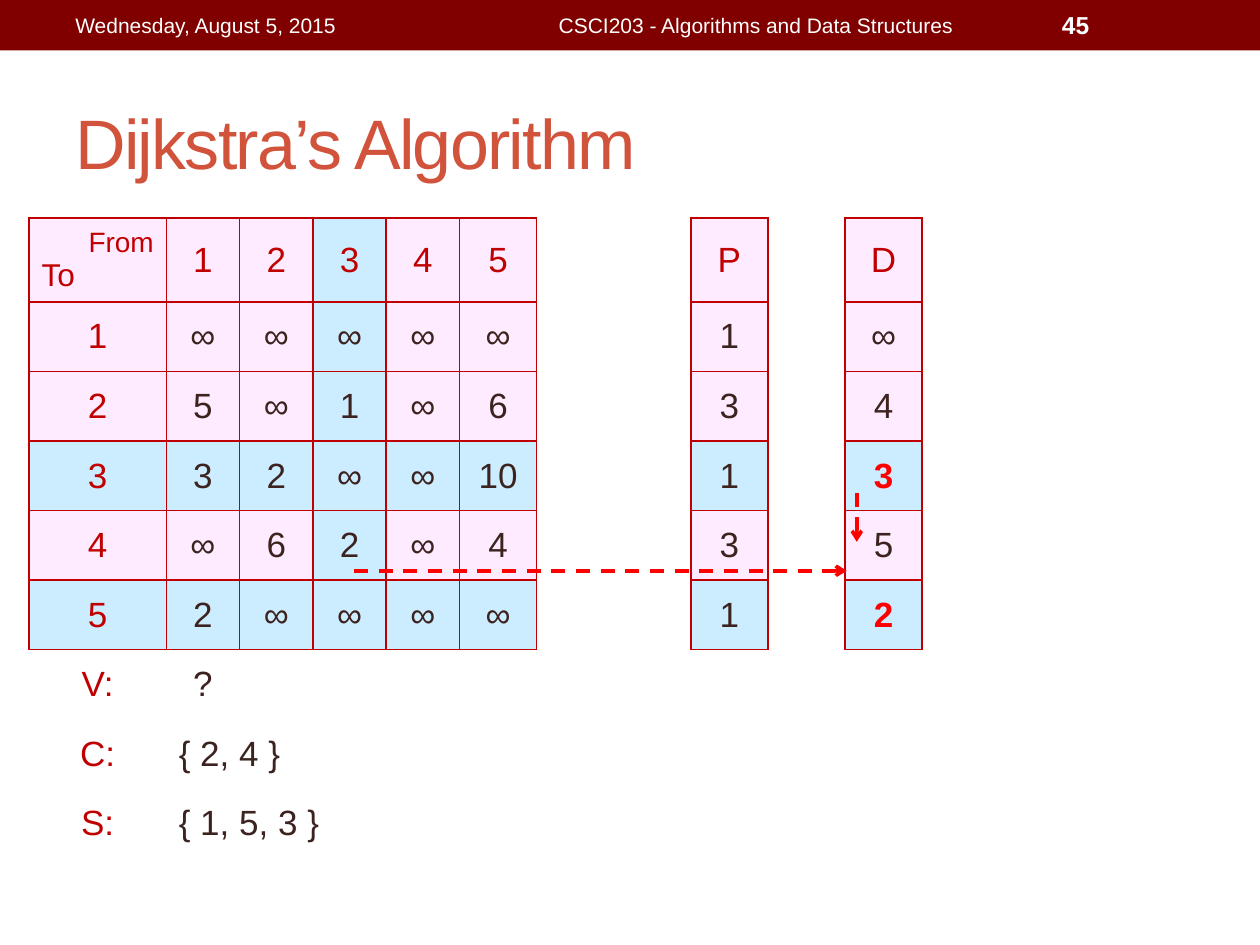
from dataclasses import dataclass, field

from lxml import etree
from pptx import Presentation
from pptx.dml.color import RGBColor
from pptx.enum.dml import MSO_LINE
from pptx.enum.shapes import MSO_CONNECTOR, MSO_SHAPE
from pptx.enum.text import MSO_ANCHOR, PP_ALIGN
from pptx.oxml.ns import qn
from pptx.util import Inches, Pt

LEFT, CENTER, RIGHT = PP_ALIGN.LEFT, PP_ALIGN.CENTER, PP_ALIGN.RIGHT
MIDDLE = MSO_ANCHOR.MIDDLE
RECT, STRAIGHT, DASH = MSO_SHAPE.RECTANGLE, MSO_CONNECTOR.STRAIGHT, MSO_LINE.DASH

WHITE = RGBColor(0xFF, 0xFF, 0xFF)
MAROON = RGBColor(0x80, 0x00, 0x00)
TITLE = RGBColor(0xD2, 0x53, 0x3C)
CRIMSON = RGBColor(0xC0, 0x00, 0x00)
RED = RGBColor(0xFF, 0x00, 0x00)
BROWN = RGBColor(0x3C, 0x23, 0x1F)
PINK = RGBColor(0xFF, 0xEB, 0xFF)
BLUE = RGBColor(0xCC, 0xEC, 0xFF)

FONT = "Arial"
NO_STYLE = "{2D5ABB26-0587-4C30-8999-92F81FD0307C}"
COLS, ROWS = 100, 75  # slide grid of square units
UNIT = Inches(10) // COLS

# Table geometry in grid units
COL_WIDTHS = [10.9] + [5.82] * 4 + [6.12] * 6
ROW_HEIGHTS = [6.6] + [5.52] * 8
P_COL, D_COL, CURRENT_COL = 8, 10, 3
CHOSEN_ROWS = (3, 5)

# Cost to reach each vertex from each other one, then P and D
MATRIX = ["∞∞∞∞∞", "5∞1∞6", ("3", "2", "∞", "∞", "10"), "∞62∞4", "2∞∞∞∞"]
P_VALUES = "13131"
D_VALUES = "∞4352"
SETS = [("V:", "?", CENTER), ("C:", "{ 2, 4 }", LEFT), ("S:", "{ 1, 5, 3 }", LEFT)]


@dataclass
class Label:
    text: str
    box: tuple[float, float, float, float]
    format: dict
    align: PP_ALIGN = LEFT
    spacing: int = 0


@dataclass
class Entry:
    text: str
    color: RGBColor = BROWN
    align: PP_ALIGN = CENTER
    format: dict = field(default_factory=dict)


@dataclass
class Arrow:
    start: tuple[float, float]
    end: tuple[float, float]


LABELS = [
    Label("Dijkstra’s Algorithm", (5, 5.8, 90, 10.8),
          {"size": Pt(40)}, spacing=-100),
    Label("CSCI203 - Algorithms and Data Structures", (37.5, 0.2, 45, 3.6),
          {"size": Pt(12)}, CENTER),
    Label("45", (83.3, 0.2, 11.7, 3.6), {"size": Pt(14), "bold": True}),
    Label("Wednesday, August 5, 2015", (5, 0.2, 31.7, 3.6), {"size": Pt(12)}),
]
ARROWS = [Arrow((68, 39.1), (68, 43)), Arrow((28.1, 45.3), (67.2, 45.3))]


def units(*values: float) -> list[int]:
    return [round(v * UNIT) for v in values]


def write(p, text: str, color: RGBColor, align: PP_ALIGN, style: dict):
    p.alignment = align
    r = p.add_run()
    r.text = text
    r.font.color.rgb = color
    for name, value in {"name": FONT, **style}.items():
        setattr(r.font, name, value)
    return r


def add_label(slide, label: Label, color: RGBColor) -> None:
    tf = slide.shapes.add_textbox(*units(*label.box)).text_frame
    tf.word_wrap = True
    tf.vertical_anchor = MIDDLE
    r = write(tf.paragraphs[0], label.text, color, label.align, label.format)
    if label.spacing:
        r.font._element.set("spc", str(label.spacing))


def outline_cell(cell) -> None:
    tc_pr = cell._tc.get_or_add_tcPr()
    for i, side in enumerate(("lnL", "lnR", "lnT", "lnB")):
        ln = etree.Element(qn(f"a:{side}"), w=str(Pt(1)))
        fill = etree.SubElement(ln, qn("a:solidFill"))
        etree.SubElement(fill, qn("a:srgbClr"), val=str(CRIMSON))
        tc_pr.insert(i, ln)


def fill_cell(cell, *entries: Entry, fill: RGBColor | None = None) -> None:
    cell.vertical_anchor = MIDDLE
    tf = cell.text_frame
    for i, e in enumerate(entries):
        p = tf.add_paragraph() if i else tf.paragraphs[0]
        write(p, e.text, e.color, e.align, {"size": Pt(20), **e.format})
    if fill is not None:
        cell.fill.solid()
        cell.fill.fore_color.rgb = fill
        outline_cell(cell)


def add_cost_table(slide) -> None:
    box = units(2.3, 17.3, sum(COL_WIDTHS), sum(ROW_HEIGHTS))
    table = slide.shapes.add_table(len(ROW_HEIGHTS), len(COL_WIDTHS), *box).table
    table.first_row = table.horz_banding = False
    table._tbl.tblPr.find(qn("a:tableStyleId")).text = NO_STYLE
    for column, width in zip(table.columns, units(*COL_WIDTHS)):
        column.width = width
    for row, height in zip(table.rows, units(*ROW_HEIGHTS)):
        row.height = height
    for cell in table.iter_cells():
        cell.fill.background()

    # Header row
    fill_cell(table.cell(0, 0),
              Entry("From", CRIMSON, RIGHT, {"size": Pt(16)}),
              Entry("To", CRIMSON, LEFT, {"size": Pt(18)}), fill=PINK)
    headings = {**{c: str(c) for c in range(1, 6)}, P_COL: "P", D_COL: "D"}
    for c, text in headings.items():
        fill_cell(table.cell(0, c), Entry(text, CRIMSON),
                  fill=BLUE if c == CURRENT_COL else PINK)

    # Costs, predecessors and distances
    for r, costs in enumerate(MATRIX, start=1):
        chosen = r in CHOSEN_ROWS
        entries = {0: Entry(str(r), CRIMSON)}
        entries |= {c: Entry(cost) for c, cost in enumerate(costs, start=1)}
        entries[P_COL] = Entry(P_VALUES[r - 1])
        entries[D_COL] = Entry(D_VALUES[r - 1], RED if chosen else BROWN,
                               format={"bold": chosen})
        for c, entry in entries.items():
            fill_cell(table.cell(r, c), entry,
                      fill=BLUE if chosen or c == CURRENT_COL else PINK)

    # Current vertex, candidate set and solved set
    for r, (name, value, align) in enumerate(SETS, start=len(MATRIX) + 1):
        fill_cell(table.cell(r, 0), Entry(name, CRIMSON))
        if align == LEFT:
            table.cell(r, 1).merge(table.cell(r, len(COL_WIDTHS) - 1))
        fill_cell(table.cell(r, 1), Entry(value, align=align))


def add_arrow(slide, arrow: Arrow) -> None:
    s = slide.shapes.add_connector(STRAIGHT, *units(*arrow.start, *arrow.end))
    s.line.color.rgb = RED
    s.line.width = Pt(2)
    s.line.dash_style = DASH
    etree.SubElement(s.line._get_or_add_ln(), qn("a:tailEnd"), type="arrow")
    etree.SubElement(s._element.spPr, qn("a:effectLst"))


def main() -> None:
    prs = Presentation()
    prs.slide_width, prs.slide_height = units(COLS, ROWS)
    slide = prs.slides.add_slide(prs.slide_layouts[6])

    # Top band
    s = slide.shapes.add_shape(RECT, *units(0, 0, COLS, 4))
    s.shadow.inherit = False
    s.fill.solid()
    s.fill.fore_color.rgb = MAROON
    s.line.fill.background()

    # Title and band text
    title, *band_labels = LABELS
    add_label(slide, title, TITLE)
    for label in band_labels:
        add_label(slide, label, WHITE)

    add_cost_table(slide)
    for arrow in ARROWS:
        add_arrow(slide, arrow)
    prs.save("out.pptx")


if __name__ == "__main__":
    main()
